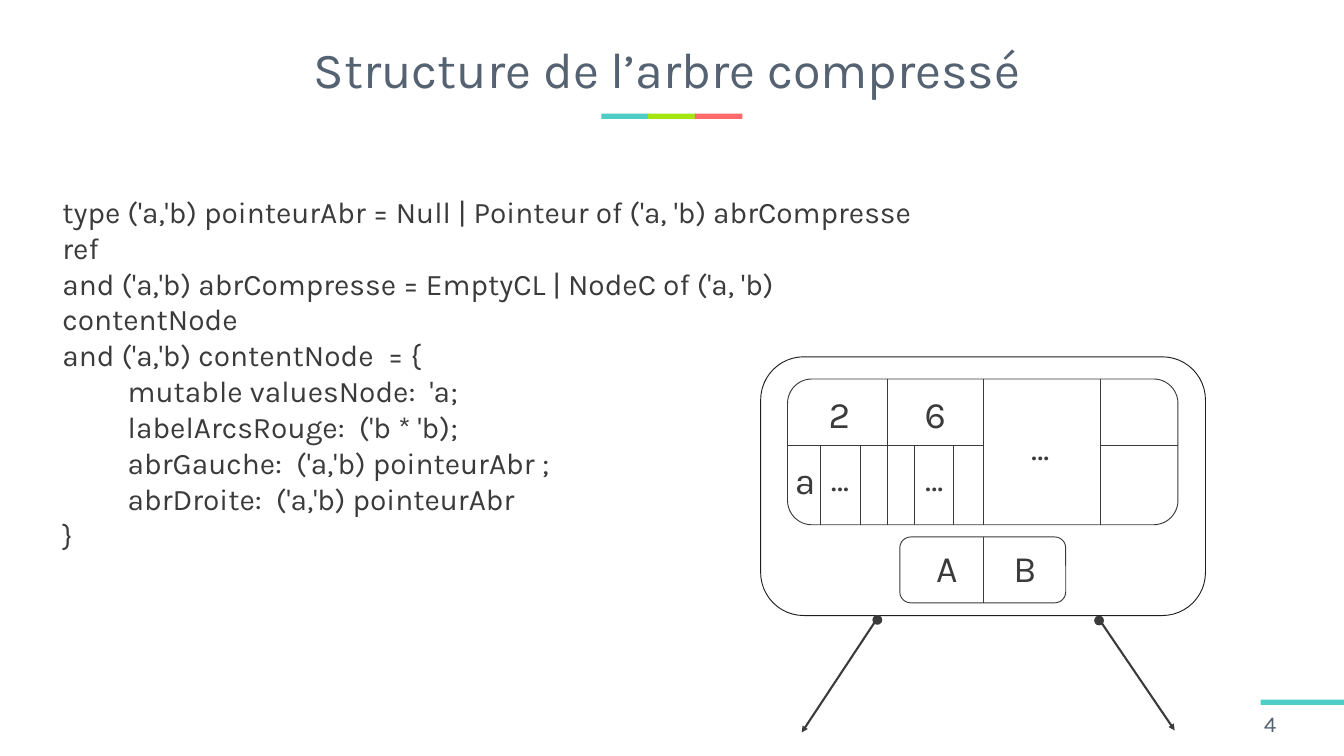
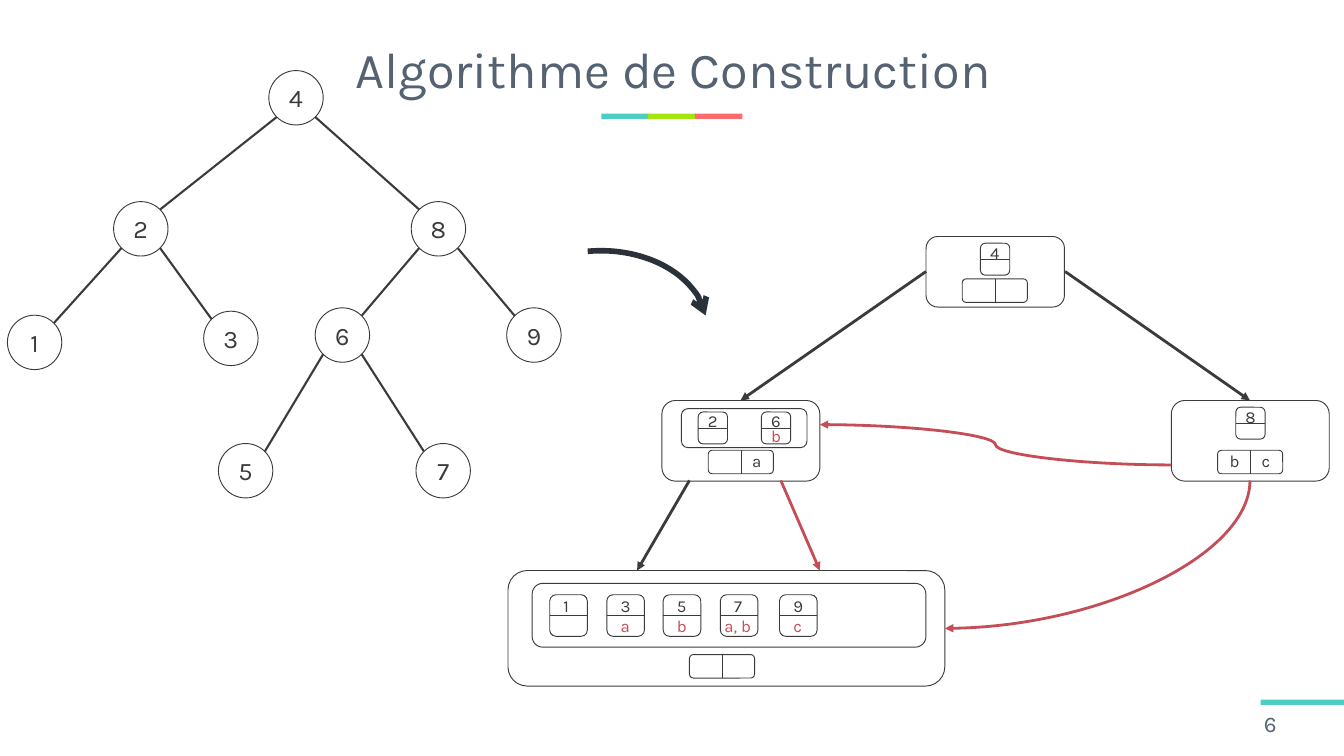
"""Two slides on compressed binary search trees: node structure and construction."""
from dataclasses import dataclass

from pptx import Presentation
from pptx.dml.color import RGBColor as Color
from pptx.enum.shapes import MSO_CONNECTOR as Link, MSO_SHAPE as Form
from pptx.enum.text import MSO_ANCHOR as Anchor, PP_ALIGN as Align
from pptx.oxml.ns import qn
from pptx.util import Pt


@dataclass(frozen=True)
class Theme:
    font: str = "Karla"
    heading: str = "556272"
    ink: str = "3B3B3B"
    outline: str = "1E1E1E"
    paper: str = "FFFFFF"
    teal: str = "4ECDC4"
    lime: str = "A3E511"
    coral: str = "FF6B6B"
    red: str = "C54D57"
    navy: str = "2A3139"
    title_size: float = 54
    value_size: float = 40
    dots_size: float = 36
    code_size: float = 32
    node_size: float = 27
    number_size: float = 24
    label_size: float = 18
    thin: float = 0.5
    edge: float = 2.25
    bold: float = 3


theme = Theme()


def draw(page, form, box, fill=None, line=None, text="", size=theme.label_size,
         color=theme.ink, align=Align.LEFT, anchor=Anchor.TOP):
    frame = [Pt(length) for length in box]
    if form is None:
        shape = page.shapes.add_textbox(*frame)
    else:
        shape = page.shapes.add_shape(form, *frame)
        shape.shadow.inherit = False
        for part, tint in ((shape.fill, fill), (shape.line.fill, line)):
            if tint:
                part.solid()
                part.fore_color.rgb = Color.from_string(tint)
            else:
                part.background()
        shape.line.width = Pt(1)
    if text:
        for name, value in {"word_wrap": True, "vertical_anchor": anchor}.items():
            setattr(shape.text_frame, name, value)
        for index, words in enumerate(text.split("\n")):
            paras = shape.text_frame
            para = paras.add_paragraph() if index else paras.paragraphs[0]
            para.alignment = align
            span = para.add_run()
            span.text = words
            for name, value in {"name": theme.font, "size": Pt(size)}.items():
                setattr(span.font, name, value)
            span.font.color.rgb = Color.from_string(color)
    return shape


def connect(page, points, width=theme.thin, color=theme.ink, arrow=False, link=Link.STRAIGHT):
    line = page.shapes.add_connector(link, *[Pt(length) for length in points])
    line.line.width = Pt(width)
    line.line.color.rgb = Color.from_string(color)
    properties = line._element.spPr
    if arrow:
        tail = properties.find(qn("a:ln")).makeelement(qn("a:tailEnd"), {"type": "triangle"})
        properties.find(qn("a:ln")).append(tail)
    properties.append(properties.makeelement(qn("a:effectLst"), {}))
    return line


deck = Presentation()
deck.slide_width, deck.slide_height = Pt(1440), Pt(810)
pages = []
for title, number in (("Structure de l’arbre compressé ", "4"), ("Algorithme de Construction", "6")):
    page = deck.slides.add_slide(deck.slide_layouts[6])
    for index, tint in enumerate((theme.teal, theme.lime, theme.coral)):
        draw(page, Form.RECTANGLE, (644.4 + 50 * index, 121.7, 51, 5.8), tint)
    draw(page, Form.RECTANGLE, (1350.7, 749.5, 89.3, 5.8), theme.teal)
    heading = draw(page, None, (38.9, 27.4, 1365, 100.8), text=title, size=theme.title_size,
                   color=theme.heading, align=Align.CENTER, anchor=Anchor.MIDDLE)
    heading.text_frame.paragraphs[0].line_spacing = 0.9
    draw(page, None, (1347.1, 756, 92.9, 38.2), text=number, size=theme.number_size,
         color=theme.heading, anchor=Anchor.MIDDLE)
    pages.append(page)
structure, construction = pages

code = """type ('a,'b) pointeurAbr = Null | Pointeur of ('a, 'b) abrCompresse ref
and ('a,'b) abrCompresse = EmptyCL | NodeC of ('a, 'b) contentNode
and ('a,'b) contentNode  = {
mutable valuesNode:  'a;
labelArcsRouge:  ('b * 'b);
abrGauche:  ('a,'b) pointeurAbr ;
abrDroite:  ('a,'b) pointeurAbr
}"""
listing = draw(structure, None, (59.8, 203.8, 936, 317.5), text=code, size=theme.code_size)
for para in listing.text_frame.paragraphs[3:7]:
    para.level = 1
    for name, value in {"marL": Pt(70), "indent": 0}.items():
        para._p.get_or_add_pPr().set(name, str(value))

top, middle, bottom = 406.1, 477.4, 562.3
left, right = 843.8, 1262.1
draw(structure, Form.ROUNDED_RECTANGLE, (815, 382.3, 476.6, 277.2), theme.paper, theme.outline)
draw(structure, Form.ROUNDED_RECTANGLE, (left, top, right - left, bottom - top), theme.paper, theme.ink)
draw(structure, Form.ROUNDED_RECTANGLE, (964.1, 575.3, 177.8, 70.6), theme.paper, theme.ink)
for x in (951.1, 1053.4, 1178.6):
    connect(structure, (x, top, x, bottom))
for x in (879.1, 921.6, 979.2, 1021.7):
    connect(structure, (x, middle, x, bottom + 0.7))
for start, end in ((left, 1053.4), (1178.6, right)):
    connect(structure, (start, middle, end, middle))
connect(structure, (1053.4, 575.3, 1053.4, 645.9))
for value, x, y in (("2", 880.6, 415.4), ("6", 983.5, 415.4), ("a", 844.6, 486),
                    ("A", 995.8, 581), ("B", 1078.6, 581)):
    draw(structure, None, (x, y, 37.4, 55.4), text=value, size=theme.value_size)
for x, y in ((1073.5, 454.3), (959.8, 486.7), (859, 486.7)):
    draw(structure, None, (x, y, 82.1, 51.1), text="…", size=theme.dots_size, align=Align.CENTER)
for x, y in ((935.3, 659.5), (1172.9, 660.2)):
    draw(structure, Form.OVAL, (x, y, 9.4, 9.4), theme.ink, theme.ink)
for points in ((936.7, 667.4, 859, 784.8), (1180.8, 668.2, 1258.6, 782.6)):
    connect(structure, points, theme.edge, arrow=True)

diameter = 58.3
corner = 8.5
nodes = {"4": (288, 75.6), "2": (121.7, 216), "8": (440.6, 216), "1": (7.9, 337.7),
         "3": (218.2, 333.4), "6": (337.7, 329.8), "9": (542.9, 329.8),
         "5": (234, 475.2), "7": (445.7, 475.2)}
for value, (x, y) in nodes.items():
    draw(construction, Form.OVAL, (x, y, diameter, diameter), theme.paper, theme.ink, value,
         theme.node_size, align=Align.CENTER, anchor=Anchor.MIDDLE)
for parent, child in ("42", "21", "23", "48", "86", "89", "65", "67"):
    (x, y), (child_x, child_y) = nodes[parent], nodes[child]
    near, far = corner, diameter - corner
    if child_x > x:
        near, far = far, near
    connect(construction, (x + near, y + diameter - corner, child_x + far, child_y + corner), theme.edge)

blocks = ((992.2, 253.4, 148.3, 75.6), (1255, 429.1, 169.2, 86.4), (709.2, 429.1, 169.2, 86.4),
          (544.3, 611.3, 468, 123.8), (570.2, 625, 421.9, 68.4), (730.1, 437.8, 134.6, 41.8))
for block in blocks:
    draw(construction, Form.ROUNDED_RECTANGLE, block, theme.paper, theme.ink)

arrows = (((992.2, 290.9, 793.4, 429.1), theme.ink), ((1141.2, 290.9, 1339.2, 429.1), theme.ink),
          ((738.7, 514.8, 682.6, 611.3), theme.ink), ((836.6, 514.8, 878.4, 611.3), theme.red))
for points, tint in arrows:
    connect(construction, points, theme.bold, tint, True)
connect(construction, (1255, 498.2, 878.4, 455), theme.bold, theme.red, True, Link.CURVE)
bend = connect(construction, (1096.6, 430.6, 1255, 757.5), theme.bold, theme.red, True, Link.CURVE)
bend._element.spPr.find(qn("a:prstGeom")).set("prst", "curvedConnector2")
bend._element.spPr.find(qn("a:xfrm")).set("rot", "5400000")

for x, y, labels in ((1031, 298.8, ("", "")), (1304.6, 482.4, ("b", "c")),
                     (758.9, 482.4, ("", "a")), (738.7, 701.3, ("", ""))):
    draw(construction, Form.ROUNDED_RECTANGLE, (x, y, 69.8, 25.2), theme.paper, theme.ink)
    connect(construction, (x + 34.9, y, x + 34.9, y + 25.2))
    for offset, label in zip((5.8, 40), labels):
        if label:
            draw(construction, None, (x + offset, y - 2.5, 25.2, 28.8), text=label)

small, large = (31.4, 34.2), (40.3, 44.6)
cells = (("4", "", 1050.5, 260.6, small), ("8", "", 1324.1, 436.3, small),
         ("2", "", 748.1, 441.4, small), ("6", "b", 815.8, 441.4, small),
         ("1", "", 589, 637.2, large), ("3", "a", 650.2, 637.2, large),
         ("5", "b", 710.6, 637.2, large), ("7", "a, b", 771.8, 637.2, large),
         ("9", "c", 835.2, 637.2, large))
for value, arc_label, x, y, (width, height) in cells:
    draw(construction, Form.ROUNDED_RECTANGLE, (x, y, width, height), theme.paper, theme.ink)
    connect(construction, (x, y + height / 2, x + width, y + height / 2))
    center = x + width / 2
    draw(construction, None, (center - 12.5, y + height / 4 - 13.1, 25, 28.8), text=value)
    if arc_label:
        span_width = 46 if len(arc_label) > 1 else 25
        draw(construction, None, (center - span_width / 2, y + height * 0.75 - 14.7, span_width, 28.8),
             text=arc_label, color=theme.red)

sweep = draw(construction, Form.ARC, (530.6, 268.6, 226.8, 164.2), line=theme.navy)
sweep.line.width = Pt(6)
for index, angle in enumerate((156.025, 212.098)):
    sweep.adjustments[index] = angle
outline = sweep._element.spPr.find(qn("a:ln"))
outline.append(outline.makeelement(qn("a:tailEnd"), {"type": "arrow"}))

deck.save("out.pptx")
